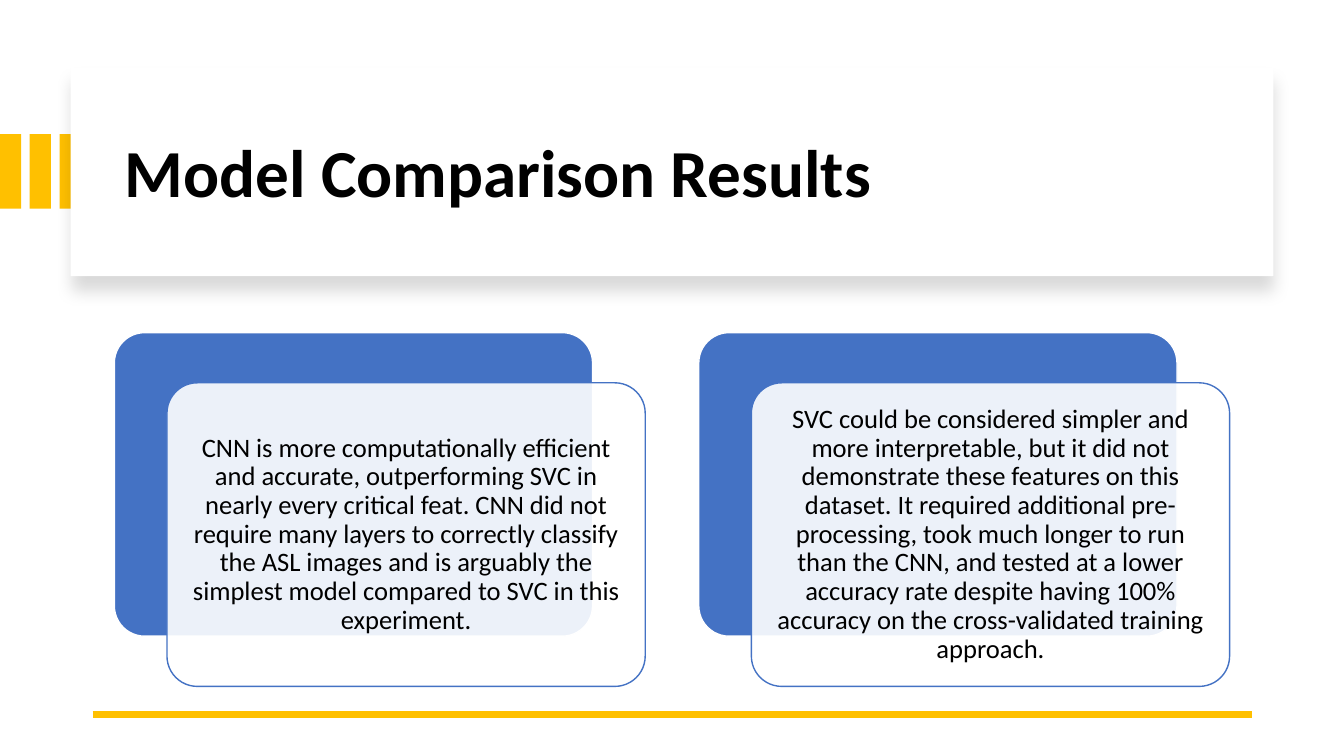
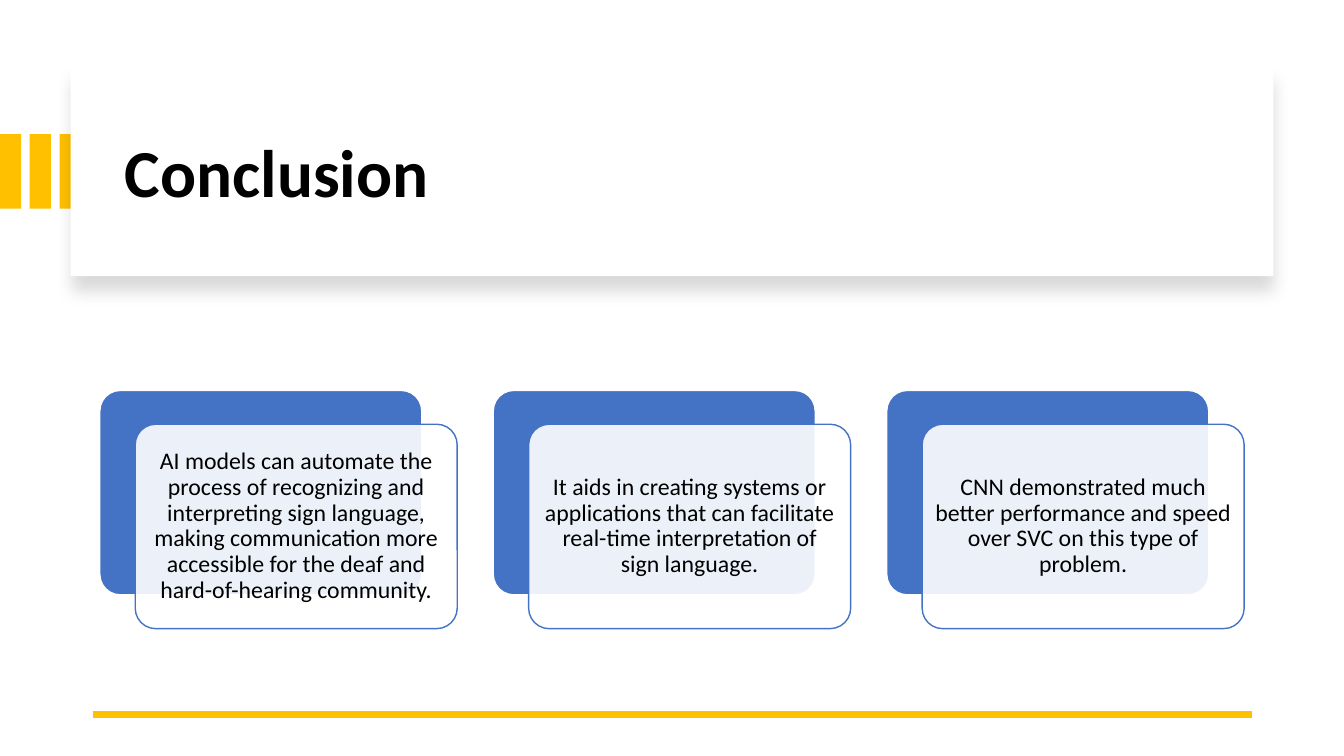
from lxml import etree
from pptx import Presentation
from pptx.dml.color import RGBColor
from pptx.enum.shapes import MSO_CONNECTOR, MSO_SHAPE
from pptx.enum.text import MSO_ANCHOR, PP_ALIGN
from pptx.oxml.ns import qn
from pptx.util import Inches, Pt

RECT, ROUND = MSO_SHAPE.RECTANGLE, MSO_SHAPE.ROUNDED_RECTANGLE
LINE = MSO_CONNECTOR.STRAIGHT
LEFT, CENTER, MIDDLE = PP_ALIGN.LEFT, PP_ALIGN.CENTER, MSO_ANCHOR.MIDDLE

COLORS = {"accent": "FFC000", "card": "4472C4", "white": "FFFFFF", "black": "000000"}
FONT = "Calibri"
HEADER_BOX = (0.7, 0.67, 11.93, 2.07)
CARDS_BOX = (0.99, 3.3, 11.35, 3.51)

# Card proportions, as shares of the card width
CARD_H, SHIFT_X, SHIFT_Y, PITCH = 0.635, 0.11, 0.105, 1.222

SLIDES = [
    ("Model Comparison Results", 19, 0.08, [
        "CNN is more computationally efficient and accurate, outperforming SVC in nearly "
        "every critical feat. CNN did not require many layers to correctly classify the ASL "
        "images and is arguably the simplest model compared to SVC in this experiment.",
        "SVC could be considered simpler and more interpretable, but it did not demonstrate "
        "these features on this dataset. It required additional pre-processing, took much "
        "longer to run than the CNN, and tested at a lower accuracy rate despite having 100% "
        "accuracy on the cross-validated training approach.",
    ]),
    ("Conclusion", 17, 0.07, [
        "AI models can automate the process of recognizing and interpreting sign language, "
        "making communication more accessible for the deaf and hard-of-hearing community.",
        "It aids in creating systems or applications that can facilitate real-time "
        "interpretation of sign language.",
        "CNN demonstrated much better performance and speed over SVC on this type of problem.",
    ]),
]


def rgb(name):
    return RGBColor.from_string(COLORS[name])


def add_box(s, kind, x, y, w, h, fill, line=None):
    sp = s.shapes.add_shape(kind, Inches(x), Inches(y), Inches(w), Inches(h))
    sp.shadow.inherit = False
    sp.fill.solid()
    sp.fill.fore_color.rgb = rgb(fill)
    if line:
        sp.line.color.rgb = rgb(line)
        sp.line.width = Pt(1)
    else:
        sp.line.fill.background()
    if kind == ROUND:
        sp.adjustments[0] = 0.1
    return sp


def set_text(sp, text, size, bold=False, align=LEFT, inset=(0.1, 0.05)):
    tf = sp.text_frame
    tf.word_wrap = True
    tf.vertical_anchor = MIDDLE
    tf.margin_left = tf.margin_right = Inches(inset[0])
    tf.margin_top = tf.margin_bottom = Inches(inset[1])
    p = tf.paragraphs[0]
    p.alignment, p.line_spacing = align, 0.9
    r = p.add_run()
    r.text = text
    r.font.name, r.font.size, r.font.bold = FONT, Pt(size), bold
    r.font.color.rgb = rgb("black")


def set_alpha(color, percent):
    etree.SubElement(color, qn("a:alpha"), val=str(percent * 1000))


def add_shadow(sp):
    effects = sp._element.spPr.find(qn("a:effectLst"))
    shadow = etree.SubElement(effects, qn("a:outerShdw"), blurRad=str(Pt(11)),
                              dist=str(Pt(10)), dir="5400000", algn="t", rotWithShape="0")
    set_alpha(etree.SubElement(shadow, qn("a:srgbClr"), val=COLORS["black"]), 15)


def add_header(s, box, title):
    x, y, w, h = box
    # Stripes running in from the slide's left edge, under the panel
    for i in range(3):
        add_box(s, RECT, i * 0.295, y + 0.66, 0.21, 0.74, "accent")
    add_shadow(add_box(s, RECT, x, y, w, h, "white"))
    tb = s.shapes.add_textbox(Inches(x + 0.44), Inches(y + 0.22), Inches(w - 0.8), Inches(1.7))
    set_text(tb, title, 48, bold=True)


def add_footer_rule(s):
    rule = s.shapes.add_connector(LINE, Inches(0.92), Inches(7.09), Inches(12.42), Inches(7.09))
    rule.line.color.rgb = rgb("accent")
    rule.line.width = Pt(4.5)
    etree.SubElement(rule._element.spPr, qn("a:effectLst"))


def add_card(s, x, y, w, text, size, inset):
    h = w * CARD_H
    add_box(s, ROUND, x, y, w, h, "card", line="white")
    front = add_box(s, ROUND, x + w * SHIFT_X, y + w * SHIFT_Y, w, h, "white", line="card")
    set_alpha(front._element.spPr.find(qn("a:solidFill"))[0], 90)
    set_text(front, text, size, align=CENTER, inset=(inset, inset))


def add_cards(s, box, texts, size, inset):
    x, y, w, h = box
    # Largest cards that fit the box, with the row centred in it
    row_w = PITCH * (len(texts) - 1) + 1 + SHIFT_X
    row_h = CARD_H + SHIFT_Y
    card_w = min(w / row_w, h / row_h)
    left = x + (w - card_w * row_w) / 2
    top = y + (h - card_w * row_h) / 2
    for i, text in enumerate(texts):
        add_card(s, left + i * card_w * PITCH, top, card_w, text, size, inset)


def main():
    prs = Presentation()
    prs.slide_width, prs.slide_height = Inches(13.33), Inches(7.5)
    for title, size, inset, texts in SLIDES:
        s = prs.slides.add_slide(prs.slide_layouts[6])
        add_header(s, HEADER_BOX, title)
        add_footer_rule(s)
        add_cards(s, CARDS_BOX, texts, size, inset)
    prs.save("out.pptx")


if __name__ == "__main__":
    main()
